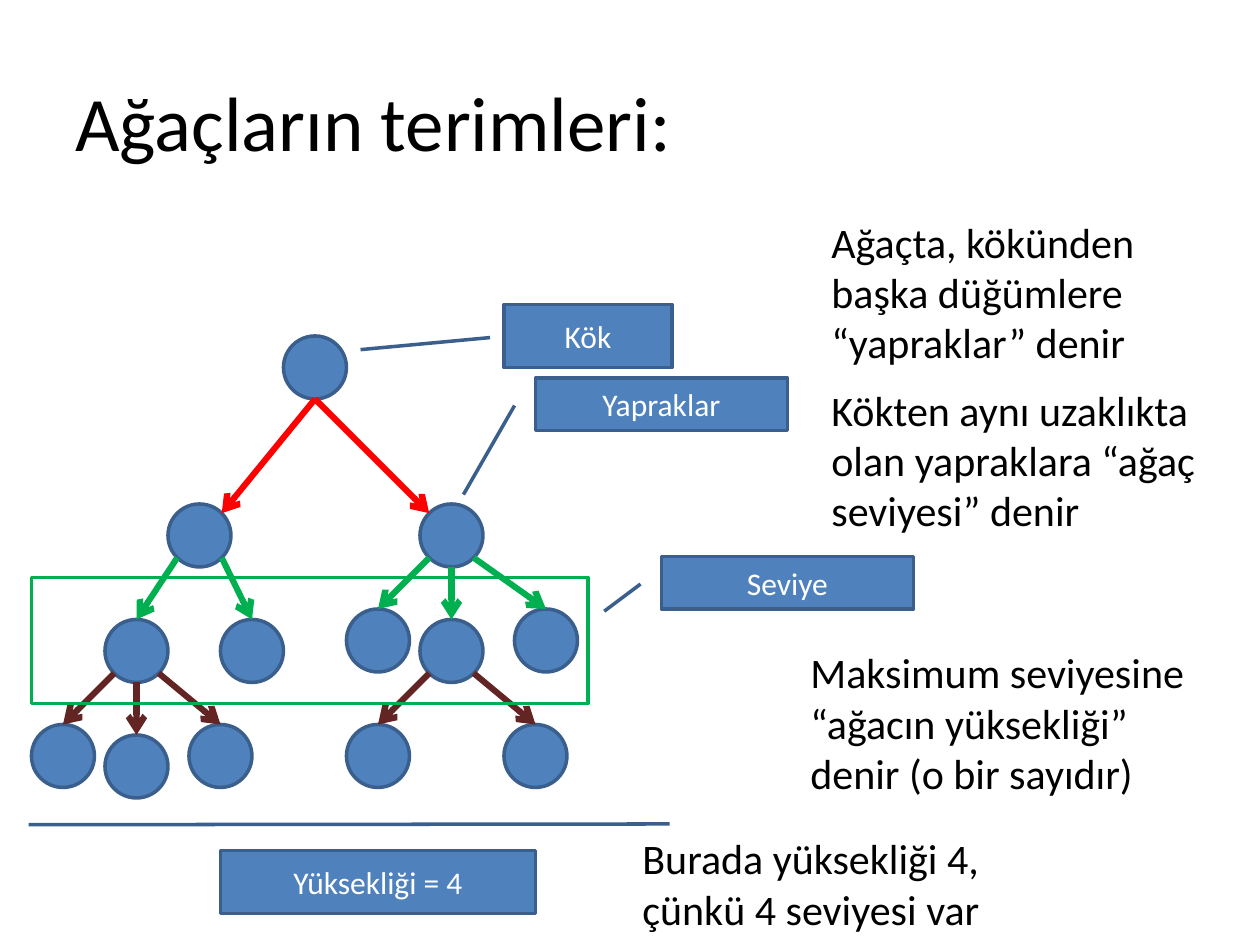
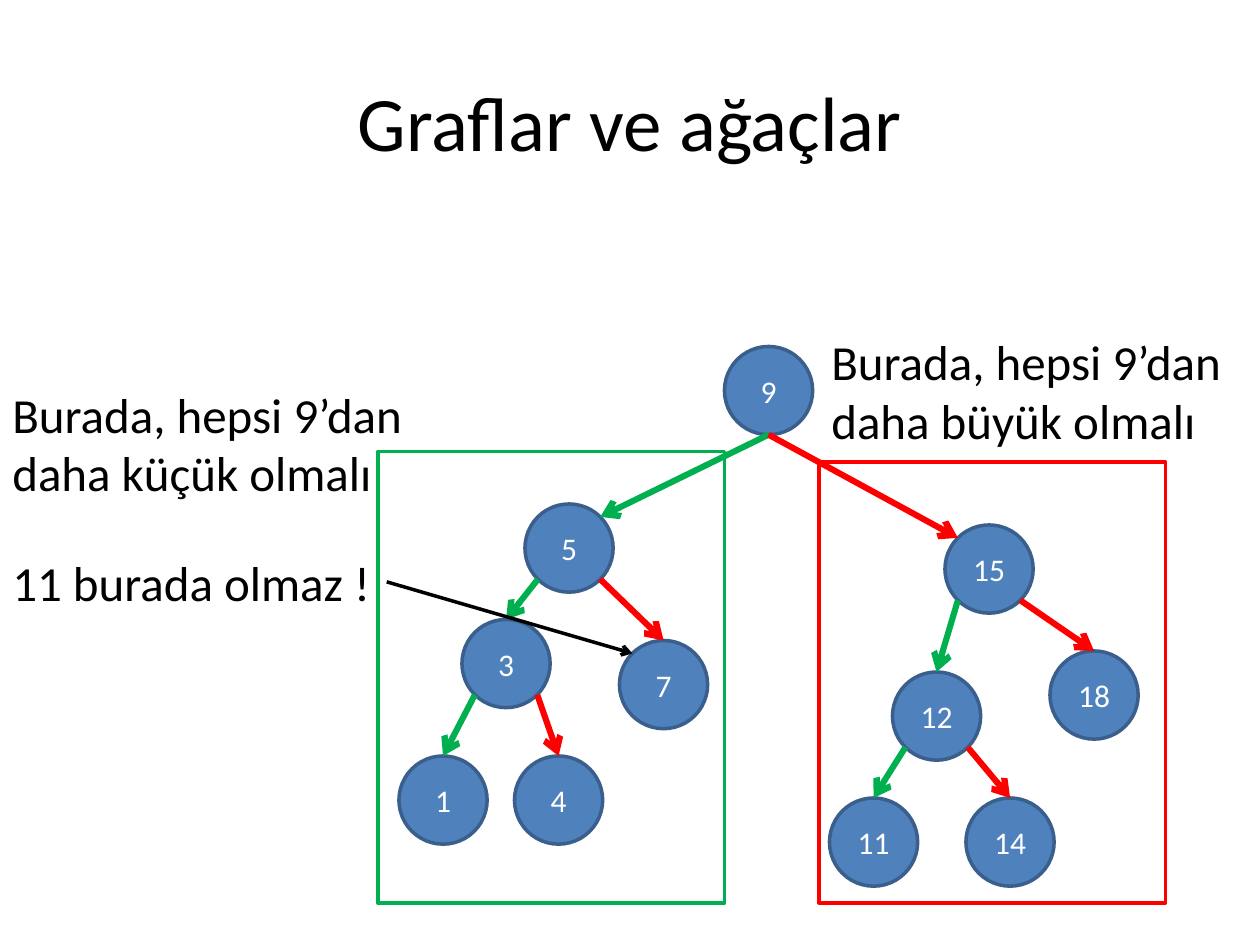
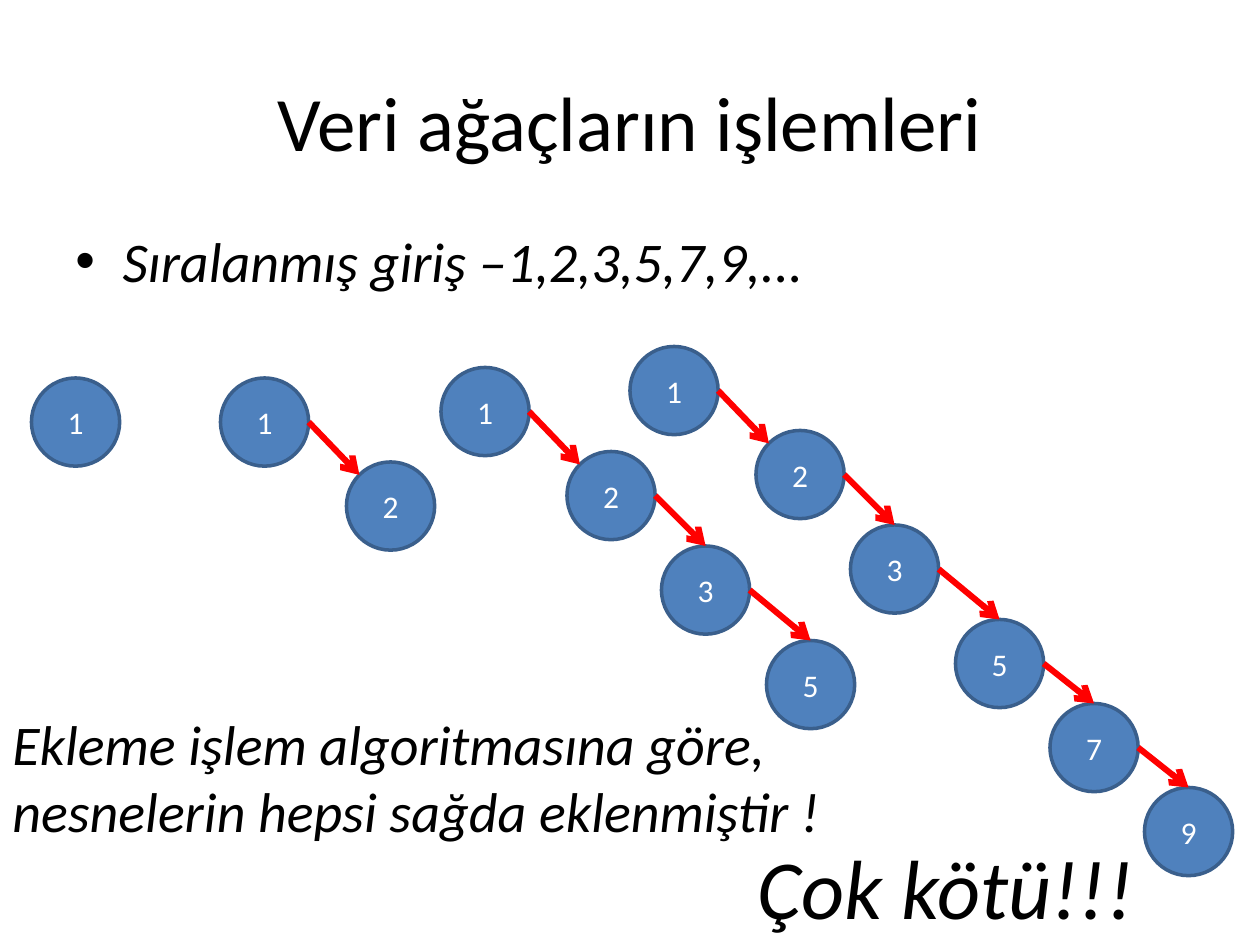
import math
import pptx
import pptx.util
import pptx.dml.color
import pptx.enum.shapes
import pptx.enum.text
import pptx.oxml.ns
import lxml.etree

Pt = pptx.util.Pt
RGBColor = pptx.dml.color.RGBColor
SHAPE = pptx.enum.shapes.MSO_SHAPE
STRAIGHT = pptx.enum.shapes.MSO_CONNECTOR.STRAIGHT
ALIGN = pptx.enum.text.PP_ALIGN
ANCHOR = pptx.enum.text.MSO_ANCHOR
AUTO = pptx.enum.text.MSO_AUTO_SIZE
qn = pptx.oxml.ns.qn

FONT = "Calibri"
BLACK = RGBColor(0x00, 0x00, 0x00)
WHITE = RGBColor(0xFF, 0xFF, 0xFF)
BLUE = RGBColor(0x4F, 0x81, 0xBD)
NAVY = RGBColor(0x3A, 0x5F, 0x8C)
RED = RGBColor(0xFF, 0x00, 0x00)
GREEN = RGBColor(0x00, 0xB0, 0x50)
MAROON = RGBColor(0x63, 0x25, 0x23)

SMALL, LARGE = 36, 50.4
SITES = {"r": 0, "br": 45, "b": 90, "bl": 135, "l": 180, "tl": 225, "t": 270, "tr": 315}

TERM_NODES = {
    "root": (162, 192),
    "left": (96, 288), "right": (240, 288),
    "left 1": (60, 354), "left 2": (126, 354),
    "right 1": (198, 348), "right 2": (240, 354), "right 3": (294, 348),
    "leaf 1": (18, 414), "leaf 2": (60, 420), "leaf 3": (108, 414),
    "leaf 4": (198, 414), "leaf 5": (288, 414),
}
TERM_EDGES = [
    ("root", "b", "left", "tr", RED), ("root", "b", "right", "tl", RED),
    ("left", "bl", "left 1", "t", GREEN), ("left", "br", "left 2", "t", GREEN),
    ("right", "bl", "right 1", "t", GREEN), ("right", "b", "right 2", "t", GREEN),
    ("right", "br", "right 3", "t", GREEN),
    ("left 1", "bl", "leaf 1", "t", MAROON), ("left 1", "b", "leaf 2", "t", MAROON),
    ("left 1", "br", "leaf 3", "t", MAROON),
    ("right 2", "bl", "leaf 4", "t", MAROON), ("right 2", "br", "leaf 5", "t", MAROON),
]
CALLOUTS = [
    ("Kök", (288, 174, 96, 36), (0.526, -0.083, 0.718, -0.854)),
    ("Yapraklar", (306, 216, 144, 30), (0.526, -0.083, 2.223, -0.286)),
    ("Seviye", (378, 318, 144, 30), (0.526, -0.083, 1.044, -0.227)),
    ("Yüksekliği = 4", (126, 486, 180, 36), (-0.409, -0.609, -0.421, 1.426)),
]
TERM_NOTES = [
    ("Ağaçta, kökünden başka düğümlere “yapraklar” denir", (468, 120, 228, 94)),
    ("Kökten aynı uzaklıkta olan yapraklara “ağaç seviyesi” denir", (468, 216, 252, 94)),
    ("Maksimum seviyesine “ağacın yüksekliği” denir (o bir sayıdır)", (456, 366, 228, 94)),
    ("Burada yüksekliği 4, \vçünkü 4 seviyesi var", (360, 472.3, 276, 65.5)),
]
LEVEL_FRAME = (18, 330, 318, 72)

SEARCH_NODES = {
    "9": (414, 198), "5": (300, 288), "3": (264, 354), "15": (540, 300),
    "18": (600, 372), "12": (510, 384), "7": (354, 366), "4": (294, 432),
    "1": (228, 432), "14": (552, 456), "11": (474, 456),
}
SEARCH_CHILDREN = {"5": ("3", "7"), "15": ("12", "18"), "3": ("1", "4"), "12": ("11", "14")}
SEARCH_FRAMES = [((216, 258, 198, 258), GREEN), ((468, 264, 198, 252), RED)]
SEARCH_NOTES = [
    ("11 burada olmaz !", (0, 312, 221, 41), False),
    ("Burada, hepsi 9’dan daha küçük olmalı", (0, 216, 252, 75), True),
    ("Burada, hepsi 9’dan daha büyük olmalı", (468, 186, 252, 75), True),
]
WRONG_FROM = (221, 332.5)

CHAIN_VALUES = ["1", "2", "3", "5", "7", "9"]
CHAIN_STEPS = [(72, 48), (54, 54), (60, 54), (54, 48), (54, 48)]
CHAINS = [((18, 216), 1), ((126, 216), 2), ((252, 210), 4), ((360, 198), 6)]


def add_slide(title, align=ALIGN.CENTER):
    s = prs.slides.add_slide(prs.slide_layouts[6])
    tf = add_text(s, title, (36, 24, 648, 90), 44, grow=False)
    tf.vertical_anchor = ANCHOR.MIDDLE
    tf.paragraphs[0].alignment = align
    return s


def write(tf, text, size, color, italic=False):
    tf.text = text
    for p in tf.paragraphs:
        for r in p.runs:
            r.font.name = FONT
            r.font.size = Pt(size)
            r.font.color.rgb = color
            if italic:
                r.font.italic = True


def add_text(s, text, box, size, wrap=True, italic=False, grow=True):
    tf = s.shapes.add_textbox(*map(Pt, box)).text_frame
    tf.word_wrap = wrap
    tf.auto_size = AUTO.SHAPE_TO_FIT_TEXT if grow else AUTO.NONE
    write(tf, text, size, BLACK, italic)
    return tf


def add_box(s, kind, box, text="", fill=BLUE, line=NAVY):
    sp = s.shapes.add_shape(kind, *map(Pt, box))
    sp.shadow.inherit = False
    if fill is None:
        sp.fill.background()
    else:
        sp.fill.solid()
        sp.fill.fore_color.rgb = fill
    sp.line.color.rgb = line
    sp.line.width = Pt(2)
    if text:
        tf = sp.text_frame
        write(tf, text, 18, WHITE)
        tf.vertical_anchor = ANCHOR.MIDDLE
        tf.paragraphs[0].alignment = ALIGN.CENTER
    return sp


def add_node(s, at, size, text=""):
    add_box(s, SHAPE.FLOWCHART_CONNECTOR, (*at, size, size), text)


def site(at, size, name):
    angle = math.radians(SITES[name])
    radius = size / 2
    return (at[0] + radius * (1 + math.cos(angle)), at[1] + radius * (1 + math.sin(angle)))


def add_arrow(s, start, end, color, width=3.5):
    c = s.shapes.add_connector(STRAIGHT, *map(Pt, (*start, *end)))
    c.line.color.rgb = color
    c.line.width = Pt(width)
    ln = c.line._get_or_add_ln()
    lxml.etree.SubElement(ln, qn("a:tailEnd"), type="arrow")
    lxml.etree.SubElement(c._element.spPr, qn("a:effectLst"))


def add_tree(s, nodes, edges, size, labelled):
    for name, at in nodes.items():
        add_node(s, at, size, name if labelled else "")
    for parent, out, child, into, color in edges:
        add_arrow(s, site(nodes[parent], size, out), site(nodes[child], size, into), color)


prs = pptx.Presentation()
prs.slide_width, prs.slide_height = Pt(720), Pt(540)

s = add_slide("Ağaçların terimleri:", ALIGN.LEFT)
add_tree(s, TERM_NODES, TERM_EDGES, SMALL, False)
for text, box, pointer in CALLOUTS:
    sp = add_box(s, SHAPE.LINE_CALLOUT_1, box, text)
    for i, value in enumerate(pointer):
        sp.adjustments[i] = value
for text, box in TERM_NOTES:
    add_text(s, text, box, 24)
add_box(s, SHAPE.RECTANGLE, LEVEL_FRAME, fill=None, line=GREEN)

s = add_slide("Graflar ve ağaçlar")
edges = [("9", "b", "5", "tr", GREEN), ("9", "b", "15", "tl", RED)]
for parent, (smaller, larger) in SEARCH_CHILDREN.items():
    edges += [(parent, "bl", smaller, "t", GREEN), (parent, "br", larger, "t", RED)]
add_tree(s, SEARCH_NODES, edges, LARGE, True)
for box, color in SEARCH_FRAMES:
    add_box(s, SHAPE.RECTANGLE, box, fill=None, line=color)
for text, box, wrap in SEARCH_NOTES:
    add_text(s, text, box, 28, wrap)
add_arrow(s, WRONG_FROM, site(SEARCH_NODES["7"], LARGE, "tl"), BLACK, 2)

s = add_slide("Veri ağaçların işlemleri")
tf = add_text(s, "Sıralanmış giriş –1,2,3,5,7,9,...", (36, 126, 642, 66), 32, italic=True, grow=False)
p = tf.paragraphs[0]
p.space_before = Pt(6.4)
pPr = p._p.get_or_add_pPr()
pPr.set("marL", str(Pt(27)))
pPr.set("indent", str(-Pt(27)))
lxml.etree.SubElement(pPr, qn("a:buFont"), typeface="Arial")
lxml.etree.SubElement(pPr, qn("a:buChar"), char="•")
for at, count in CHAINS:
    nodes = {CHAIN_VALUES[0]: at}
    edges = []
    for i in range(1, count):
        dx, dy = CHAIN_STEPS[i - 1]
        at = (at[0] + dx, at[1] + dy)
        nodes[CHAIN_VALUES[i]] = at
        edges.append((CHAIN_VALUES[i - 1], "r", CHAIN_VALUES[i], "tl" if i == 1 else "t", RED))
    add_tree(s, nodes, edges, LARGE, True)
add_text(s, "Çok kötü!!!", (426, 474, 232, 65.5), 48, wrap=False, italic=True)
add_text(s, "Ekleme işlem algoritmasına göre,\vnesnelerin hepsi sağda eklenmiştir !",
         (0, 402, 481, 85), 32, wrap=False, italic=True)

prs.save("out.pptx")
